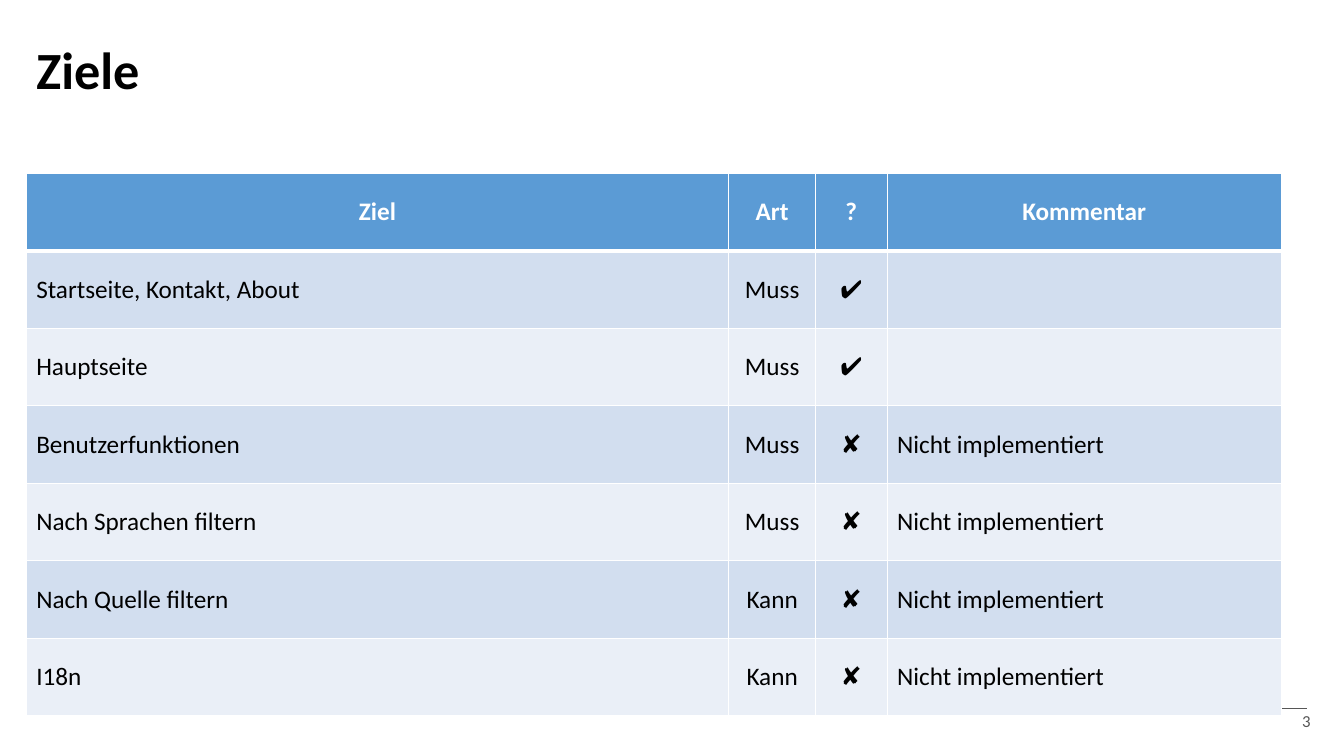
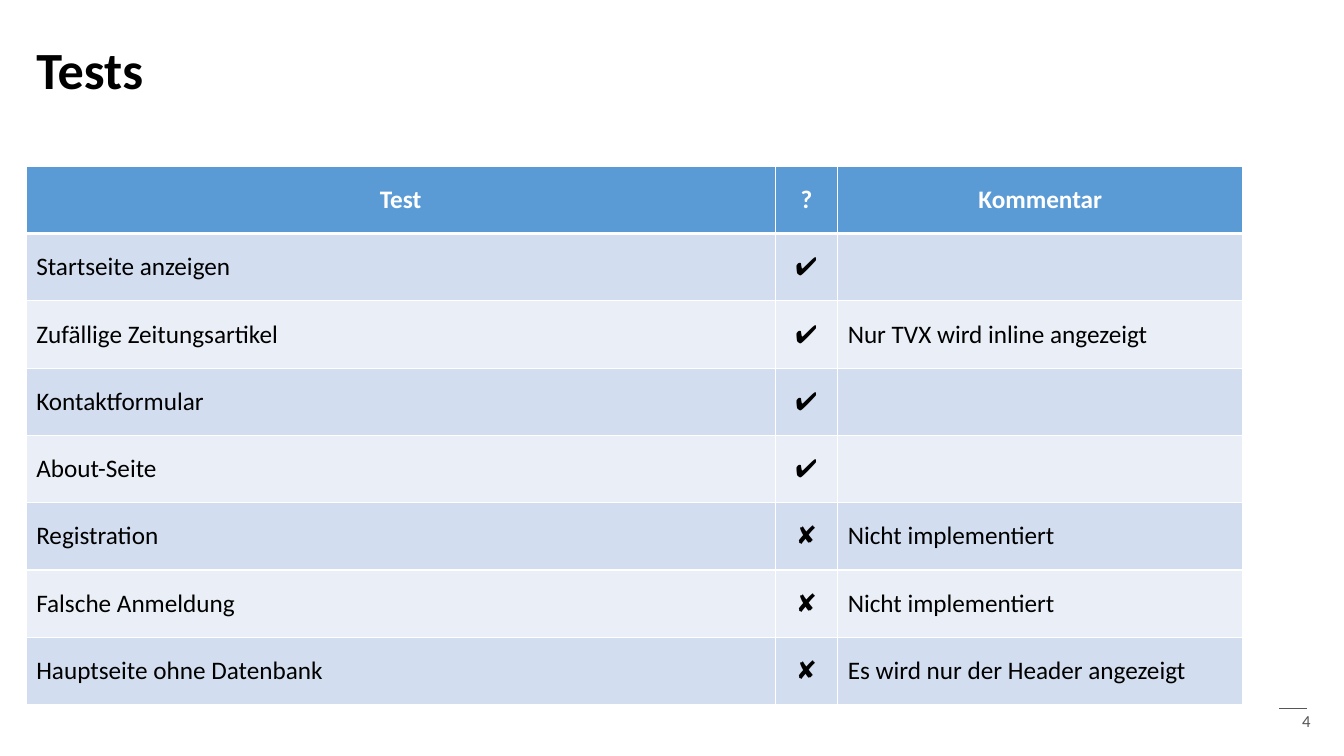
from dataclasses import dataclass

from lxml.etree import SubElement
from pptx import Presentation
from pptx.dml.color import RGBColor as Color
from pptx.enum.shapes import MSO_CONNECTOR as Connector
from pptx.enum.text import MSO_ANCHOR as Anchor, PP_ALIGN as Align
from pptx.oxml.ns import qn
from pptx.util import Inches, Pt


@dataclass(frozen=True)
class Theme:
    font: str = "Calibri"
    text: str = "000000"
    footer: str = "565656"
    white: str = "FFFFFF"
    header: str = "5B9BD5"
    bands: tuple = ("D2DEEF", "EAEFF7")
    title_size: float = 37.3
    table_size: float = 18
    footer_size: float = 12
    rule: float = 0.75
    border: float = 1
    header_border: float = 3


theme = Theme()
presentation = Presentation()
presentation.slide_width = Inches(13.33)
presentation.slide_height = Inches(7.5)


def place(left, top, width, height):
    """Turn percentages of the slide into lengths."""
    across, down = presentation.slide_width / 100, presentation.slide_height / 100
    return (round(left * across), round(top * down),
            round(width * across), round(height * down))


def write(frame, text, size, color=theme.text, bold=False, align=Align.LEFT, spacing=1.0):
    paragraph = frame.paragraphs[0]
    paragraph.alignment = align
    paragraph.line_spacing = spacing
    run = paragraph.add_run()
    run.text = text
    run.font.name = theme.font
    run.font.size = Pt(size)
    run.font.bold = bold
    run.font.color.rgb = Color.from_string(color)


MARGIN = 1.95
FIRST_PAGE = 3
CENTERED = {"Art", "?"}
MISSING = "Nicht implementiert"

# Column widths and row heights are percentages of the slide.
pages = [
    {
        "title": "Ziele", "top": 22.93, "row": 10.25,
        "columns": {"Ziel": 52.28, "Art": 6.45, "?": 5.33, "Kommentar": 29.33},
        "rows": [
            ("Startseite, Kontakt, About", "Muss", "✔", ""),
            ("Hauptseite", "Muss", "✔", ""),
            ("Benutzerfunktionen", "Muss", "✘", MISSING),
            ("Nach Sprachen filtern", "Muss", "✘", MISSING),
            ("Nach Quelle filtern", "Kann", "✘", MISSING),
            ("I18n", "Kann", "✘", MISSING),
        ],
    },
    {
        "title": "Tests", "top": 22, "row": 8.9,
        "columns": {"Test": 55.73, "?": 4.65, "Kommentar": 30.15},
        "rows": [
            ("Startseite anzeigen", "✔", ""),
            ("Zufällige Zeitungsartikel", "✔", "Nur TVX wird inline angezeigt"),
            ("Kontaktformular", "✔", ""),
            ("About-Seite", "✔", ""),
            ("Registration", "✘", MISSING),
            ("Falsche Anmeldung", "✘", MISSING),
            ("Hauptseite ohne Datenbank", "✘", "Es wird nur der Header angezeigt"),
        ],
    },
]

title_only = presentation.slide_layouts[5]
for number, page in enumerate(pages, FIRST_PAGE):
    slide = presentation.slides.add_slide(title_only)

    title = slide.shapes.title
    title.left, title.top, title.width, title.height = place(MARGIN, 4.53, 90.55, 10.13)
    title.text_frame.vertical_anchor = Anchor.MIDDLE
    write(title.text_frame, page["title"], theme.title_size, bold=True, spacing=0.9)

    footer = slide.shapes.add_textbox(*place(93.15, 93.33, 5.1, 4.13)).text_frame
    footer.word_wrap = True
    footer.vertical_anchor = Anchor.MIDDLE
    write(footer, str(number), theme.footer_size, theme.footer, align=Align.RIGHT)

    left, top, width, _ = place(95.2, 93.73, 2.03, 0)
    rule = slide.shapes.add_connector(Connector.STRAIGHT, left, top, left + width, top)
    rule.line.color.rgb = Color.from_string(theme.footer)
    rule.line.width = Pt(theme.rule)
    SubElement(rule.element.spPr, qn("a:effectLst"))

    headings, widths = list(page["columns"]), list(page["columns"].values())
    rows = [headings, *page["rows"]]
    area = place(MARGIN, page["top"], sum(widths), page["row"] * len(rows))
    table = slide.shapes.add_table(len(rows), len(headings), *area).table
    for column, share in zip(table.columns, widths):
        column.width = place(0, 0, share, 0)[2]

    for row_index, values in enumerate(rows):
        is_header = row_index == 0
        fill = theme.header if is_header else theme.bands[(row_index - 1) % 2]
        borders = dict.fromkeys(("a:lnL", "a:lnR", "a:lnT", "a:lnB"), theme.border)
        if is_header:
            borders["a:lnB"] = theme.header_border
        elif row_index == 1:
            borders["a:lnT"] = theme.header_border

        for column_index, (heading, value) in enumerate(zip(headings, values)):
            cell = table.cell(row_index, column_index)
            cell.vertical_anchor = Anchor.MIDDLE
            properties = cell._tc.get_or_add_tcPr()
            for side, points in borders.items():
                line = SubElement(properties, qn(side), w=str(Pt(points)))
                SubElement(SubElement(line, qn("a:solidFill")), qn("a:srgbClr"), val=theme.white)
            cell.fill.solid()
            cell.fill.fore_color.rgb = Color.from_string(fill)
            if value:
                write(cell.text_frame, value, theme.table_size,
                      color=theme.white if is_header else theme.text,
                      bold=is_header or value == "✔",
                      align=Align.CENTER if is_header or heading in CENTERED else Align.LEFT)

presentation.save("out.pptx")
